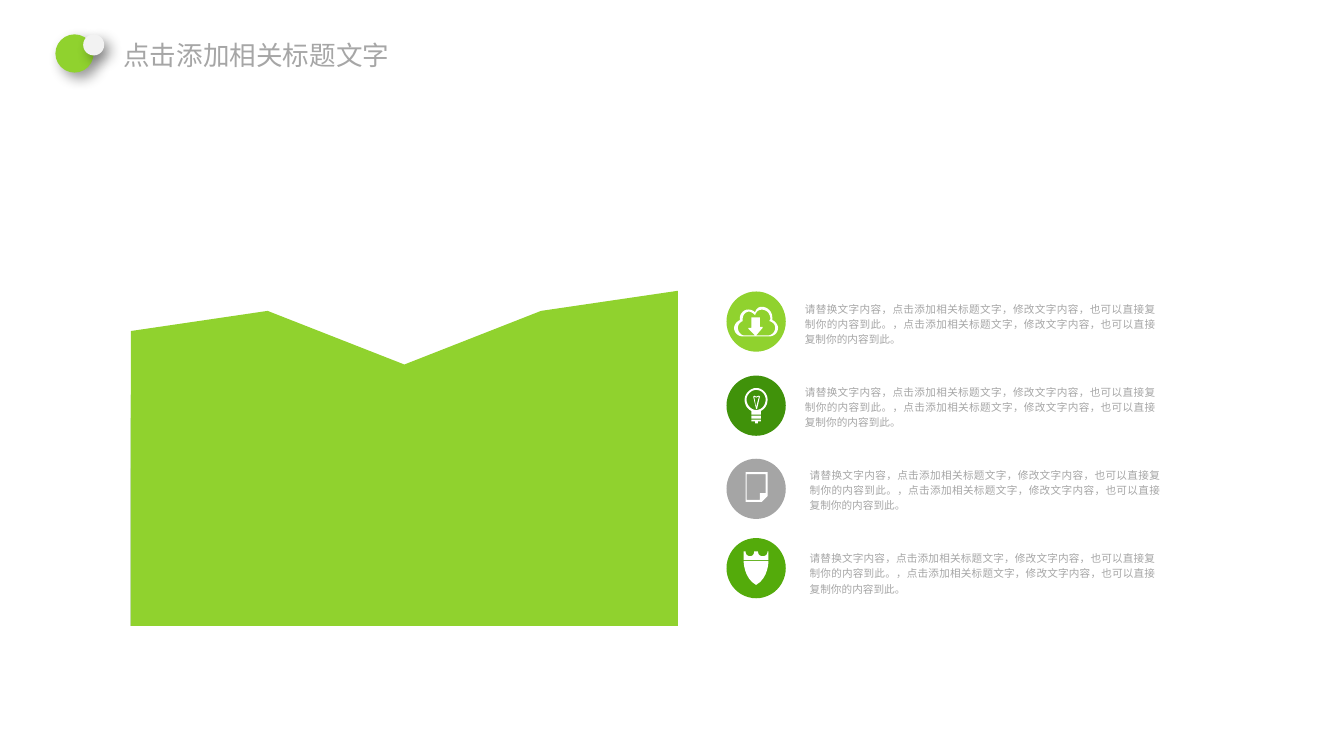
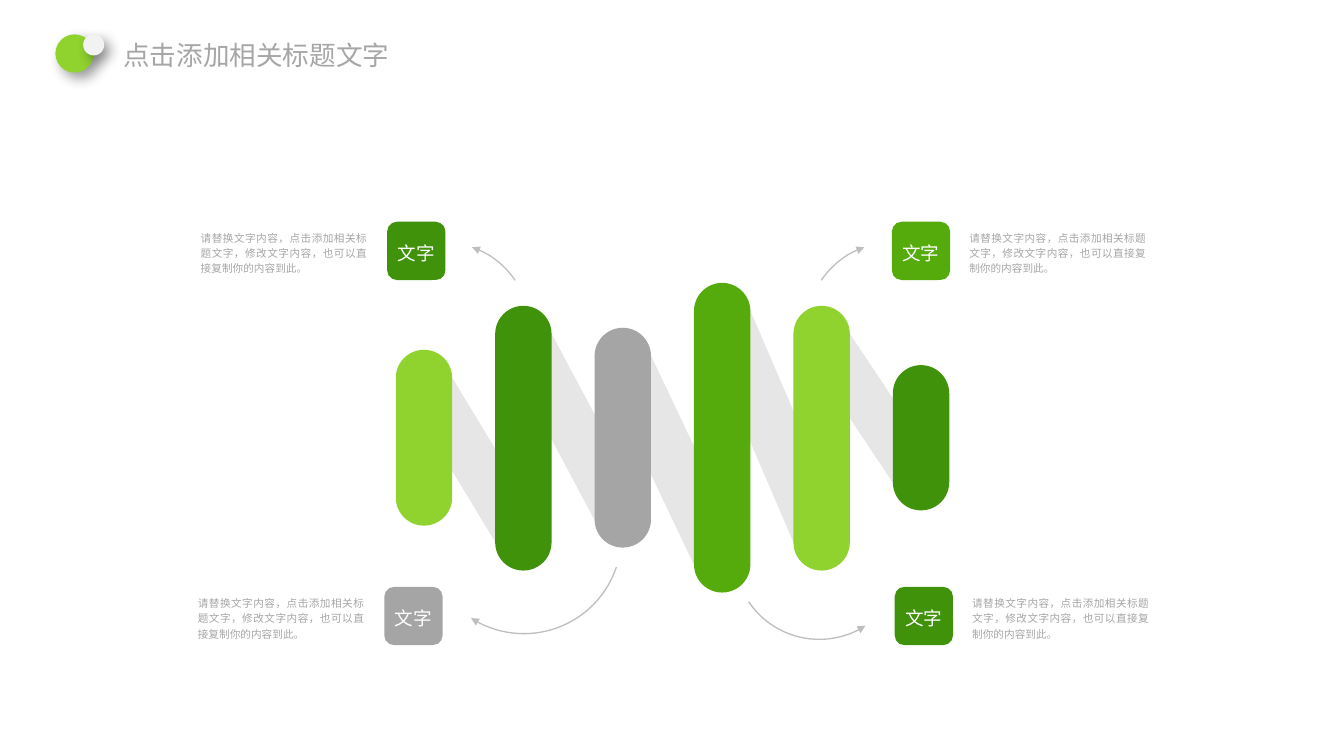
from lxml.etree import SubElement
from pptx import Presentation
from pptx.chart.data import CategoryChartData
from pptx.dml.color import RGBColor
from pptx.enum.chart import XL_CHART_TYPE
from pptx.enum.shapes import MSO_SHAPE
from pptx.enum.text import MSO_ANCHOR, MSO_AUTO_SIZE, PP_ALIGN
from pptx.oxml.ns import qn
from pptx.util import Pt

PX = 9144
FONT = "Arial"
COLORS = {
    "lime": "90D22E", "forest": "40920A", "gray": "A5A5A5", "leaf": "54AB0B",
    "text": "A6A6A6", "white": "FFFFFF", "pale": "F2F2F2", "ribbon": "E7E6E6",
    "arrow": "BFBFBF", "black": "000000",
}
TITLE = "点击添加相关标题文字"
SHORT_TEXT = "请替换文字内容，点击添加相关标题文字，修改文字内容，也可以直接复制你的内容到此。"
LONG_TEXT = SHORT_TEXT + "，点击添加相关标题文字，修改文字内容，也可以直接复制你的内容到此。"

CLOUD = [
    [(48, 30), (48, 29, 48, 28, 48, 27), (48, 21, 43, 16, 37, 16),
     (31, 16, 30, 22, 30, 22), (30, 22, 27, 18, 21, 19), (17, 20, 14, 24, 14, 28),
     (14, 29, 14, 29, 14, 30), (11, 31, 8, 35, 8, 38), (8, 43, 12, 47, 17, 47),
     (45, 47), (50, 47, 54, 43, 54, 38), (54, 35, 51, 31, 48, 30)],
    [(43, 46), (19, 46), (15, 46, 12, 42, 12, 38), (12, 35, 14, 32, 17, 31),
     (17, 30, 17, 30, 17, 29), (17, 25, 19, 22, 23, 21), (27, 21, 30, 25, 30, 25),
     (30, 25, 31, 19, 37, 19), (42, 19, 46, 23, 46, 29), (46, 29, 45, 30, 45, 31),
     (49, 32, 51, 35, 51, 38), (51, 42, 48, 46, 43, 46)],
    [(31, 46), (38, 38), (38, 37), (35, 37), (35, 27), (26, 27), (26, 38),
     (23, 38), (23, 39), (30, 46)],
]
BULB = [
    [(43, 25), (43, 19, 38, 13, 31, 13), (25, 13, 19, 19, 19, 25),
     (19, 31, 22, 35, 26, 37), (26, 41), (36, 41), (36, 37), (40, 35, 43, 31, 43, 25)],
    [(31, 36), (26, 36, 21, 31, 21, 25), (21, 20, 26, 15, 31, 15),
     (37, 15, 41, 20, 41, 25), (41, 31, 37, 36, 31, 36)],
    [(35, 22), (34, 21), (31, 22), (29, 21), (28, 22), (31, 35), (32, 35)],
    [(31, 33), (29, 22), (31, 23), (34, 22)],
    [(26, 42), (36, 42), (36, 45), (26, 45)],
    [(26, 46), (26, 48), (30, 48), (30, 50), (33, 50), (33, 48), (36, 48), (36, 46)],
]
PAGE = [
    [(20, 14), (20, 45), (37, 45), (43, 39), (43, 14)],
    [(21, 43), (21, 16), (41, 16), (41, 36), (35, 36), (35, 43)],
]
SHIELD = [
    [(31, 49), (44, 42, 44, 24, 44, 24), (18, 24), (18, 24, 18, 42, 31, 49)],
    [(43, 14), (43, 17, 41, 19, 38, 19), (35, 19, 33, 17, 33, 14), (29, 14),
     (29, 17, 27, 19, 25, 19), (22, 19, 20, 17, 20, 14), (18, 14), (18, 23),
     (44, 23), (44, 14)],
]


def emu(*lengths):
    return [int(v * PX) for v in lengths]


def rgb(name):
    return RGBColor.from_string(COLORS[name])


def paint(sp, fill):
    sp.shadow.inherit = False
    sp.fill.solid()
    sp.fill.fore_color.rgb = rgb(fill)
    sp.line.fill.background()


def add_filled(s, kind, box, fill):
    sp = s.shapes.add_shape(kind, *emu(*box))
    paint(sp, fill)
    return sp


def write(tf, text, size, color, align=None, spacing=None, inset=(0, 0)):
    tf.word_wrap = True
    tf.margin_left = tf.margin_right = inset[0] * PX
    tf.margin_top = tf.margin_bottom = inset[1] * PX
    p = tf.paragraphs[0]
    p.text = text
    p.alignment = align
    p.line_spacing = spacing
    for r in p.runs:
        r.font.size = Pt(size)
        r.font.name = FONT
        r.font.color.rgb = rgb(color)
        SubElement(r._r.get_or_add_rPr(), qn("a:ea"), typeface=FONT)


def add_body(s, box, text, inset=(0, 0)):
    tf = s.shapes.add_textbox(*emu(*box)).text_frame
    write(tf, text, 8, "text", PP_ALIGN.JUSTIFY, 1.2, inset)
    tf.auto_size = MSO_AUTO_SIZE.SHAPE_TO_FIT_TEXT


def flatten(contour, steps=8):
    points = [contour[0]]
    for piece in contour[1:]:
        if len(piece) == 2:
            points.append(piece)
            continue
        x0, y0 = points[-1]
        x1, y1, x2, y2, x3, y3 = piece
        for i in range(1, steps + 1):
            t = i / steps
            u = 1 - t
            a, b, c, d = u ** 3, 3 * u * u * t, 3 * u * t * t, t ** 3
            points.append((a * x0 + b * x1 + c * x2 + d * x3,
                           a * y0 + b * y1 + c * y2 + d * y3))
    return points


def add_outline(s, left, top, contours, fill):
    builder = None
    for contour in contours:
        points = [emu(left + x, top + y) for x, y in flatten(contour)]
        if builder is None:
            builder = s.shapes.build_freeform(*points[0], scale=1.0)
        else:
            builder.move_to(*points[0])
        builder.add_line_segments(points[1:], close=True)
    paint(builder.convert_to_shape(), fill)


def add_shadow(sp):
    effects = sp._element.spPr.find(qn("a:effectLst"))
    shadow = SubElement(effects, qn("a:outerShdw"), blurRad=str(Pt(10)),
                        dist=str(Pt(6)), dir=str(45 * 60000), rotWithShape="0")
    color = SubElement(shadow, qn("a:srgbClr"), val=COLORS["black"])
    SubElement(color, qn("a:alpha"), val="40000")


def add_title(s, left, top):
    add_shadow(add_filled(s, MSO_SHAPE.OVAL, (left, top, 40, 40), "lime"))
    tf = s.shapes.add_textbox(*emu(left + 60, top, 335, 40)).text_frame
    write(tf, TITLE, 20, "text", inset=(11, 5))
    add_shadow(add_filled(s, MSO_SHAPE.OVAL, (left + 29, top, 22, 22), "pale"))


def add_area_chart(s, box):
    data = CategoryChartData()
    data.categories = ["1", "2", "3", "4", "5"]
    series = [
        ("Series 1", (88, 94, 78, 94, 100), "lime"),
        ("Series 2", (69, 56, 62, 66, 88), "forest"),
        ("Series 3", (47, 47, 47, 59, 56), "gray"),
        ("Series 4", (62, 38, 38, 28, 34), "leaf"),
    ]
    for name, values, _ in series:
        data.add_series(name, values)
    chart = s.shapes.add_chart(XL_CHART_TYPE.AREA, *emu(*box), data).chart
    chart.has_legend = chart.has_title = False
    chart.font.name = FONT
    chart.font.size = Pt(18)
    chart.font.color.rgb = rgb("black")
    for axis in (chart.category_axis, chart.value_axis):
        axis.has_major_gridlines = False
        axis.visible = False
    chart.value_axis.minimum_scale = 0
    chart.value_axis.maximum_scale = 109.5
    chart.value_axis._element.find(qn("c:crossBetween")).set("val", "midCat")
    for plotted, (_, _, color) in zip(chart.plots[0].series, series):
        plotted.format.fill.solid()
        plotted.format.fill.fore_color.rgb = rgb(color)
        plotted.format.line.fill.background()


def add_icon_row(s, left, top, color, icon, text_box):
    add_filled(s, MSO_SHAPE.OVAL, (left, top, 62, 63), color)
    add_outline(s, left, top, icon, "white")
    dx, dy, width = text_box
    add_body(s, (left + dx, top + dy, width, 54), LONG_TEXT, (5, 3))


def add_bars(s, left, middle, step, width, bars):
    radius = width // 2
    spans = [(middle - h // 2, middle + h // 2) for h, _ in bars]
    for i in reversed(range(len(bars) - 1)):
        top, bottom = spans[i][0] + radius, spans[i + 1][1] - radius
        add_outline(s, left + i * step, 0, [[
            (0, top), (width, top), (step + width, bottom), (step, bottom)]], "ribbon")
    for i, (height, color) in enumerate(bars):
        box = (left + i * step, spans[i][0], width, height)
        add_filled(s, MSO_SHAPE.ROUNDED_RECTANGLE, box, color).adjustments[0] = 0.5


def add_callout(s, left, top, color, text_dx, text_width):
    sp = add_filled(s, MSO_SHAPE.ROUNDED_RECTANGLE, (left, top, 61, 61), color)
    write(sp.text_frame, "文字", 14, "white", PP_ALIGN.CENTER, 1.2)
    sp.text_frame.vertical_anchor = MSO_ANCHOR.MIDDLE
    add_body(s, (left + text_dx, top + 8, text_width, 48), SHORT_TEXT)


def add_arc_arrow(s, left, top, size, rotation, flips, start, end):
    sp = s.shapes.add_shape(MSO_SHAPE.ARC, *emu(left, top, size, size))
    sp.shadow.inherit = False
    sp.fill.background()
    sp.line.color.rgb = rgb("arrow")
    sp.line.width = Pt(1)
    sp.rotation = rotation
    sp.adjustments[0] = start
    sp.adjustments[1] = end
    for flip in flips:
        sp._element.spPr.find(qn("a:xfrm")).set("flip" + flip, "1")
    SubElement(sp.line._get_or_add_ln(), qn("a:tailEnd"), type="triangle")


def build_chart_slide(s):
    add_area_chart(s, (125, 263, 596, 400))
    for top, color, icon, text_box in (
        (305, "lime", CLOUD, (77, 6, 377)),
        (393, "forest", BULB, (77, 5, 377)),
        (480, "gray", PAGE, (82, 5, 377)),
        (563, "leaf", SHIELD, (82, 9, 372)),
    ):
        add_icon_row(s, 760, top, color, icon, text_box)
    add_title(s, 58, 36)


def build_bars_slide(s):
    add_bars(s, 414, 458, 104, 59, [
        (184, "lime"), (277, "forest"), (230, "gray"),
        (324, "leaf"), (277, "lime"), (152, "forest")])
    for left, top, color in ((933, 232, "leaf"), (936, 614, "forest")):
        add_callout(s, left, top, color, 81, 185)
    for left, top, color in ((405, 232, "forest"), (402, 614, "gray")):
        add_callout(s, left, top, color, -195, 174)
    for arc in (
        (768, 491, 178, 249.6, "H", 170.14, 7.46),
        (844, 254, 178, 110.4, "HV", 170.14, 192.43),
        (446, 459, 204, 110.4, "", 160.87, 7.46),
        (376, 254, 178, 249.6, "V", 170.14, 192.43),
    ):
        add_arc_arrow(s, *arc)
    add_title(s, 58, 36)


def main():
    prs = Presentation()
    prs.slide_width, prs.slide_height = emu(1406, 791)
    for build in (build_chart_slide, build_bars_slide):
        build(prs.slides.add_slide(prs.slide_layouts[6]))
    prs.save("out.pptx")


if __name__ == "__main__":
    main()
